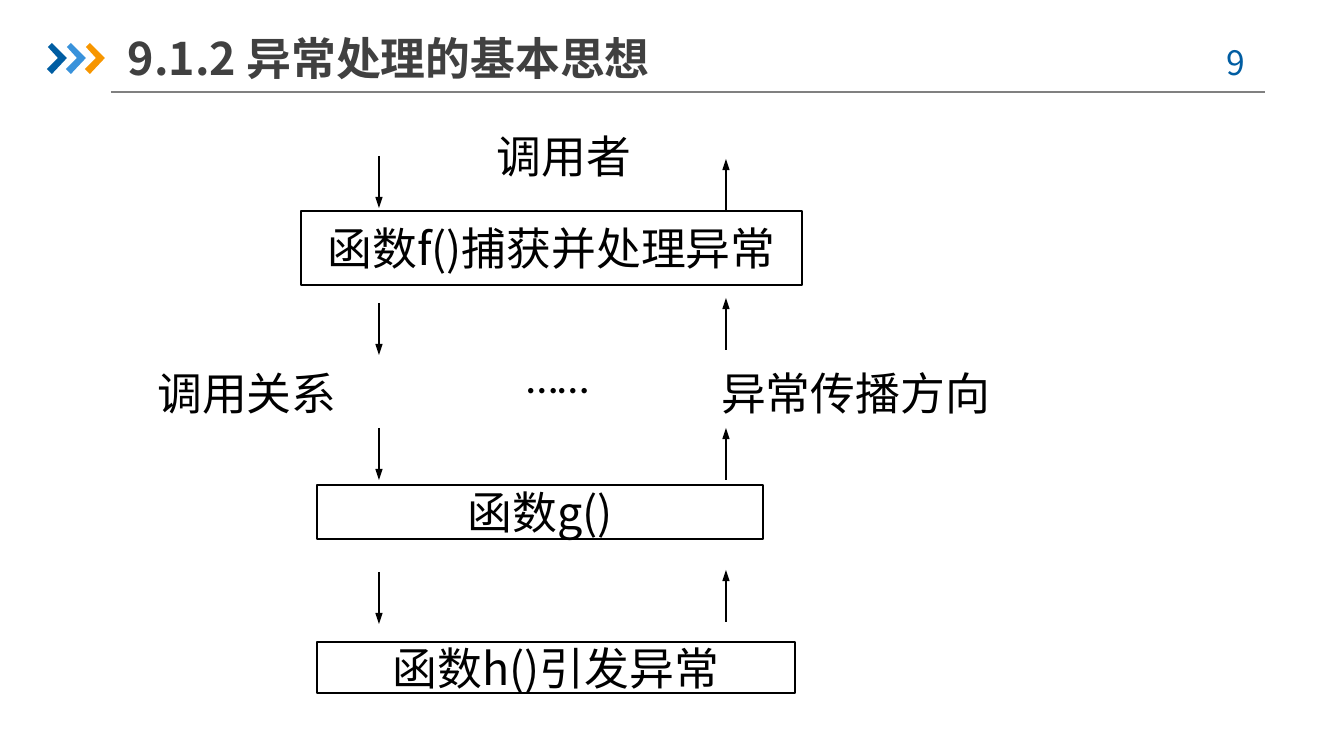
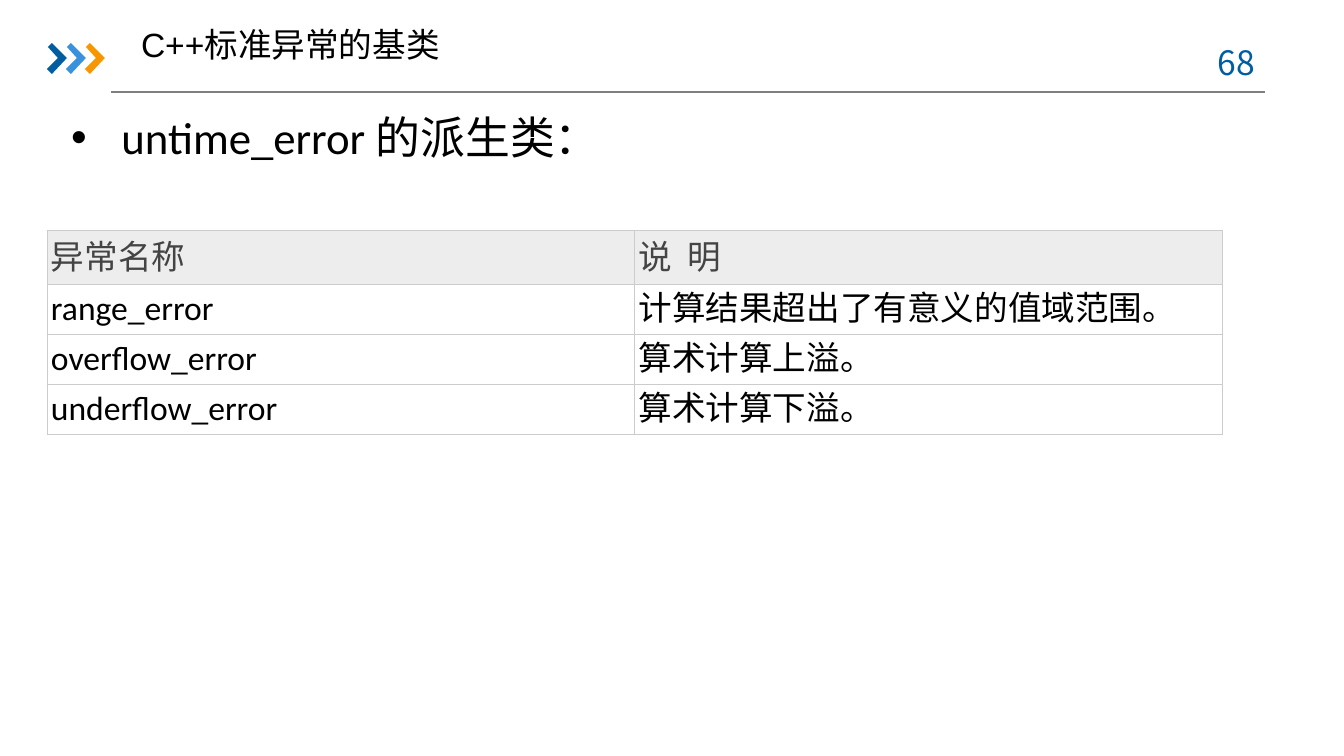
from lxml import etree
from pptx import Presentation
from pptx.dml.color import RGBColor
from pptx.enum.shapes import MSO_CONNECTOR as Connector, MSO_SHAPE as Preset
from pptx.enum.text import MSO_ANCHOR as Anchor, PP_ALIGN as Align
from pptx.oxml.ns import qn
from pptx.util import Pt

SCALE = 914400 / 134.4
COLORS = {
    "navy": "005DA2", "sky": "3992DB", "orange": "F79600",
    "rule": "808080", "title": "404040", "text": "000000",
    "head_text": "444444", "head_fill": "EDEDED",
    "white": "FFFFFF", "grid": "CCCCCC",
}
SANS = "Noto Sans CJK SC"


def px(value):
    return round(value * SCALE)


def color(name):
    return RGBColor.from_string(COLORS[name])


def place(shape, box):
    shape.left, shape.top, shape.width, shape.height = map(px, box)


def write(frame, text, size, font=SANS, shade="text", bold=False,
          align=Align.LEFT):
    frame.text = text
    para = frame.paragraphs[0]
    para.alignment = align
    for span in para.runs:
        span.font.size = Pt(size)
        span.font.bold = bold
        span.font.name = font
        span.font.color.rgb = color(shade)
        east = etree.SubElement(span._r.get_or_add_rPr(), qn("a:ea"))
        east.set("typeface", font)


def inset(frame, side, edge, anchor=Anchor.MIDDLE):
    frame.word_wrap = True
    frame.vertical_anchor = anchor
    frame.margin_left = frame.margin_right = px(side)
    frame.margin_top = frame.margin_bottom = px(edge)


def add_label(page, box, text, size=24, side=0, edge=0, anchor=Anchor.MIDDLE,
              **style):
    label = page.shapes.add_textbox(*map(px, box))
    inset(label.text_frame, side, edge, anchor)
    write(label.text_frame, text, size, align=Align.CENTER, **style)


def add_line(page, start, end, shade="text", marker=None):
    line = page.shapes.add_connector(Connector.STRAIGHT,
                                     *map(px, (*start, *end)))
    line.line.color.rgb = color(shade)
    line.line.width = Pt(0.75)
    if marker:
        etree.SubElement(line.line._get_or_add_ln(), qn("a:" + marker),
                         type="triangle", w="sm", len="med")
    etree.SubElement(line._element.spPr, qn("a:effectLst"))


def add_header(page, box, number):
    left, top, width, height = box
    add_line(page, (left + 64, top + height), (left + width, top + height),
             "rule")
    outline = [(1, 4), (5, 0), (20, 15), (5, 31), (0, 26), (11, 15)]
    for index, shade in enumerate(("navy", "sky", "orange")):
        points = [(left + 19 * index + x, top + y) for x, y in outline]
        builder = page.shapes.build_freeform(*points[0], scale=SCALE)
        builder.add_line_segments(points[1:], close=True)
        chevron = builder.convert_to_shape()
        chevron.shadow.inherit = False
        chevron.fill.solid()
        chevron.fill.fore_color.rgb = color(shade)
        chevron.line.fill.background()
    add_label(page, (left + 1144, top - 8, 98, 54), f"{number} ", 18,
              side=13, edge=7, anchor=Anchor.TOP, shade="navy")


def set_title(page, box, text, size, side, anchor, **style):
    title = page.shapes.title
    place(title, box)
    inset(title.text_frame, side, 7, anchor)
    write(title.text_frame, text, size, **style)


def add_call_diagram(page, box):
    left, top = box[:2]
    functions = [
        ((191, 78, 501, 74), "函数f()捕获并处理异常"),
        ((207, 509, 478, 51), "函数h()引发异常"),
        ((207, 352, 446, 54), "函数g()"),
    ]
    for (x, y, width, height), text in functions:
        block = page.shapes.add_shape(
            Preset.RECTANGLE, *map(px, (left + x, top + y, width, height)))
        block.shadow.inherit = False
        block.fill.background()
        block.line.color.rgb = color("text")
        block.line.width = Pt(0.75)
        inset(block.text_frame, 12, 0)
        write(block.text_frame, text, 24, align=Align.CENTER)
    arrows = [
        (269, (23, 170, 295, 439), "tailEnd"),
        (616, (26, 165, 295, 437), "headEnd"),
    ]
    for x, tops, marker in arrows:
        for y in tops:
            add_line(page, (left + x, top + y), (left + x, top + y + 52),
                     marker=marker)
    labels = [
        ((190, 216, 515, 54), "……", "Calibri"),
        ((317, 0, 274, 46), "调用者", SANS),
        ((597, 237, 297, 46), "异常传播方向", SANS),
        ((0, 237, 274, 46), "调用关系", SANS),
    ]
    for (x, y, width, height), text, font in labels:
        add_label(page, (left + x, top + y, width, height), text, font=font)


def set_body(page, box, text):
    body = page.placeholders[1]
    place(body, box)
    inset(body.text_frame, 13, 7, Anchor.TOP)
    write(body.text_frame, text, 24, font="Calibri")


def add_borders(cell):
    properties = cell._tc.get_or_add_tcPr()
    for index, side in enumerate(("lnL", "lnR", "lnT", "lnB")):
        border = etree.Element(qn("a:" + side), w=str(Pt(0.5)))
        fill = etree.SubElement(border, qn("a:solidFill"))
        etree.SubElement(fill, qn("a:srgbClr"), val=COLORS["grid"])
        properties.insert(index, border)


def add_error_table(page, box, rows):
    table = page.shapes.add_table(len(rows), len(rows[0]),
                                  *map(px, box)).table
    for column in table.columns:
        column.width = px(box[2] / len(rows[0]))
    for index, texts in enumerate(rows):
        heading = index == 0
        table.rows[index].height = px(54 if heading else 50)
        for position, text in enumerate(texts):
            cell = table.cell(index, position)
            cell.vertical_anchor = Anchor.MIDDLE
            cell.margin_left = cell.margin_right = px(4)
            cell.margin_top = cell.margin_bottom = px(7 if heading else 4)
            cell.fill.solid()
            cell.fill.fore_color.rgb = color(
                "head_fill" if heading else "white")
            write(cell.text_frame, text, 18, font="Calibri",
                  shade="head_text" if heading else "text")
            add_borders(cell)


def add_page(deck, layout, number):
    page = deck.slides.add_slide(deck.slide_layouts[layout])
    add_header(page, (47, 43, 1218, 49), number)
    return page


def build_idea_page(deck):
    page = add_page(deck, 5, 9)
    set_title(page, (128, 30, 630, 56), "9.1.2 异常处理的基本思想", 24, 0,
              Anchor.MIDDLE, shade="title", bold=True)
    add_call_diagram(page, (110, 133, 894, 560))


def build_classes_page(deck):
    page = add_page(deck, 1, 68)
    set_body(page, (58, 103, 1286, 73), "untime_error 的派生类：")
    set_title(page, (128, 17, 364, 54), "C++标准异常的基类", 18, 13,
              Anchor.TOP, font="Arial")
    add_error_table(page, (47, 230, 1175, 204), [
        ("异常名称", "说 \u00a0明"),
        ("range_error", "计算结果超出了有意义的值域范围。"),
        ("overflow_error", "算术计算上溢。"),
        ("underflow_error", "算术计算下溢。"),
    ])


deck = Presentation()
deck.slide_width, deck.slide_height = px(1344), px(756)
build_idea_page(deck)
build_classes_page(deck)
deck.save("out.pptx")
